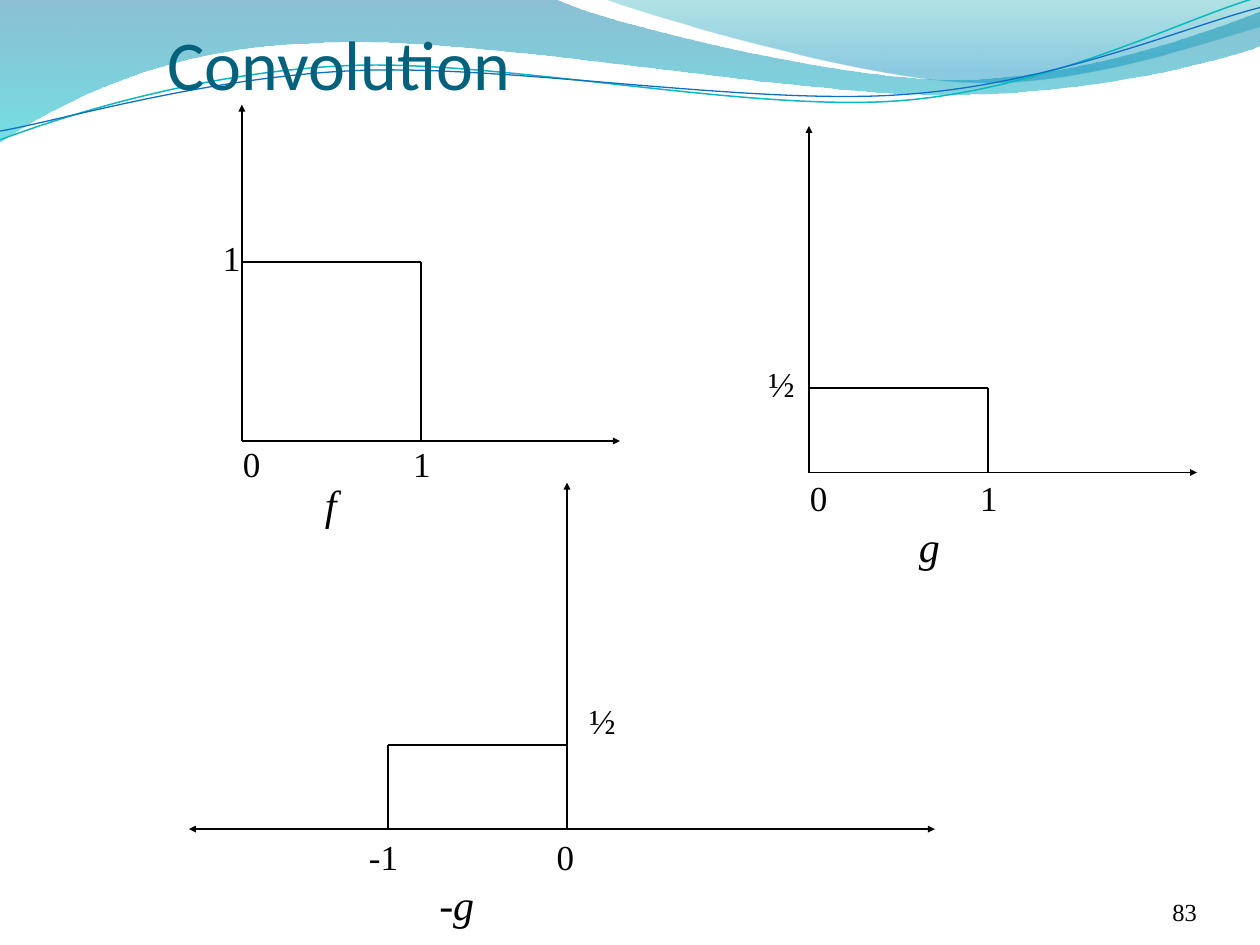
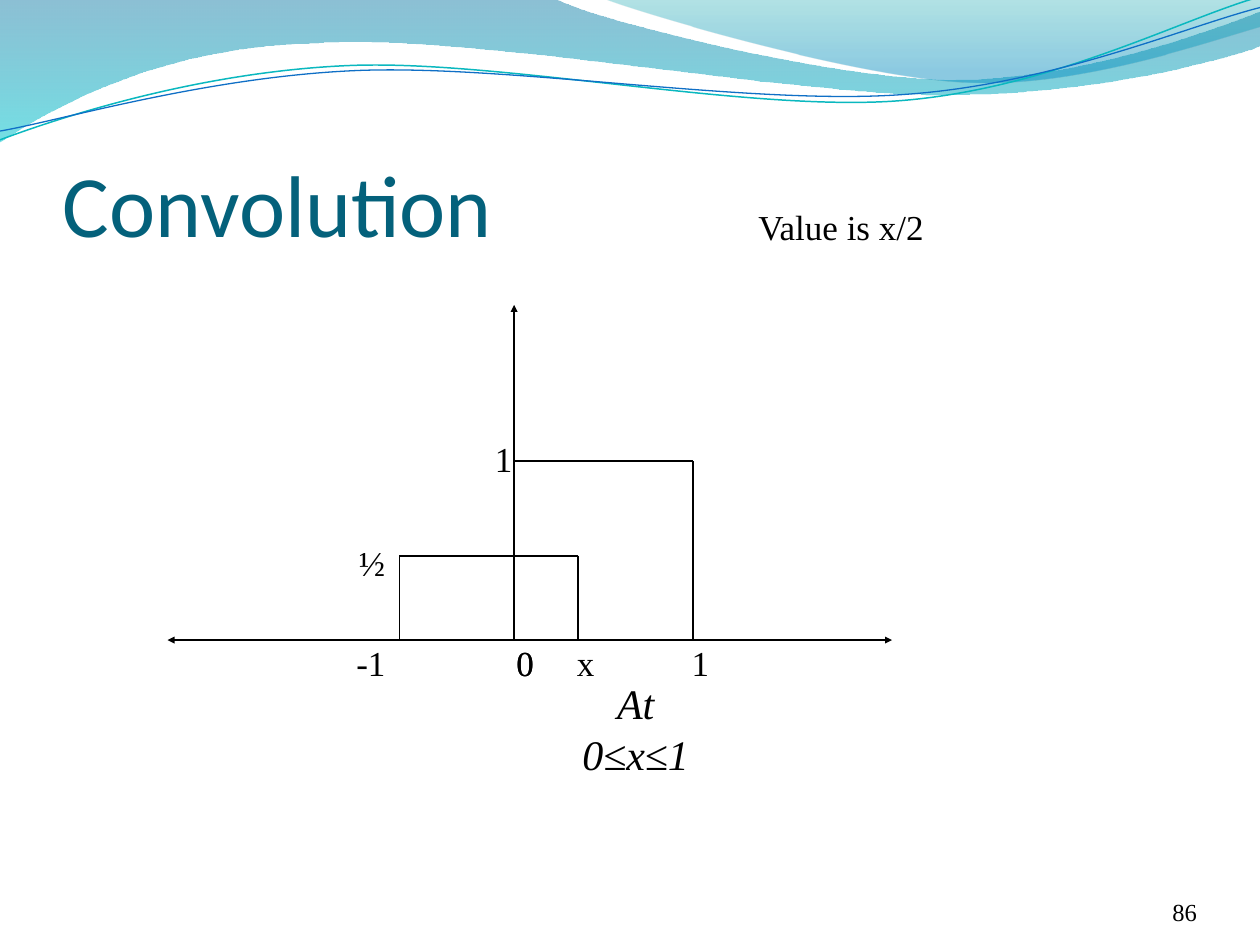
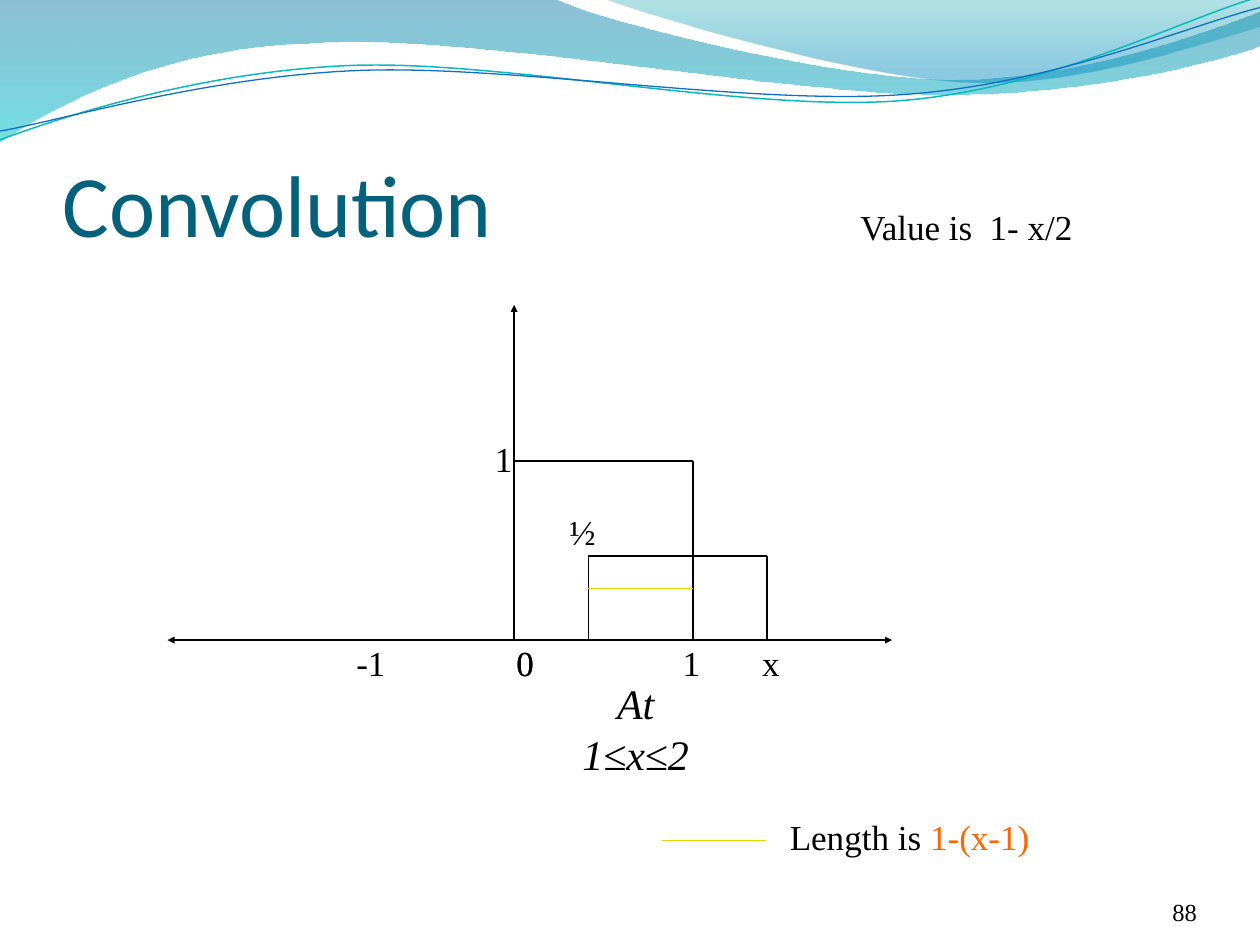
import math

from lxml import etree
from pptx import Presentation
from pptx import util as u
from pptx.dml.color import RGBColor
from pptx.enum import shapes, text
from pptx.oxml import ns

BLACK = RGBColor(0x00, 0x00, 0x00)
TITLE = RGBColor(0x04, 0x61, 0x7B)
YELLOW = RGBColor(0xE2, 0xD7, 0x00)
ORANGE = RGBColor(0xFF, 0x66, 0x00)
TEAL = RGBColor(0x0A, 0xB8, 0xBF)
BLUE = RGBColor(0x0F, 0x6F, 0xC6)
SERIF, SANS = "Times New Roman", "Calibri"
UNIT, HALF = 1.42, 0.67  # drawn size of 1 on the x axis, of ½ on the y axis
SHAFT, TIP = 2.58, 0.58  # an axis is a plain shaft and an arrow at its end
LABEL_H = 0.43
TILT = -2.7  # degrees
STRAND_CENTER = (4.99, 0.58)

# Each wave: points; a pair is a straight step, six numbers are a Bezier step.
# Bands have gradient stops (position, colour, opacity); strands a colour and width.
BANDS = [
    ([(0, 0), (4.4, -0.01), (4.76, 0.17, 6.64, 0.63, 7.58, 0.63),
      (8.53, 0.63, 9.58, 0.26, 10, 0.09), (10.01, 0.36),
      (9.83, 0.44, 8.7, 0.76, 7.46, 0.75), (6.22, 0.75, 3.82, 0.28, 2.57, 0.34),
      (1.29, 0.36, 0.46, 0.83, -0.01, 1.13), (0, 0)],
     [(0, RGBColor(0x00, 0x74, 0xA1), 45), (1, RGBColor(0x00, 0xC6, 0xCF), 55)]),
    ([(4.79, -0.01), (5.09, 0.11, 6.82, 0.62, 7.69, 0.65),
      (8.56, 0.69, 9.61, 0.32, 10, 0.21), (10, 0), (4.79, -0.01)],
     [(0, RGBColor(0x00, 0xA1, 0xA9), 30), (0.8, RGBColor(0x00, 0x8B, 0xBF), 45)]),
]
STRANDS = [
    ([(0, 1.11), (0.48, 0.93, 1.58, 0.57, 2.77, 0.52),
      (3.95, 0.47, 5.93, 0.89, 7.13, 0.8), (8.33, 0.71, 9.38, 0.15, 9.98, -0.02)],
     TEAL, 0.85),
    ([(0, 1.04), (0.47, 0.96, 1.64, 0.61, 2.83, 0.56),
      (4.03, 0.51, 5.97, 0.84, 7.17, 0.75), (8.36, 0.67, 9.41, 0.21, 10, 0.06)],
     BLUE, 0.75),
]

TOP_TITLE = ((1.33, 0.08, 8.5, 0.75), 40)
MAIN_TITLE = ((0.5, 0.77, 9, 1.25), 50)

# Graph: origin, reach of its axes (left, right, up), pulses (start, height),
# overlap of the two x shafts.
# Ticks: left, top, text, tab stops. Values: left, top, text.
# Captions: left, top, width, text. Notes: left, top, width, coloured pieces.
SHIFT_ORIGIN, SHIFT_REACH = (4.08, 5.08), (2.75, 3, 2.66)
MINUS_TICKS = (2.73, 5.04, "-1\t0", [1.27])
SLIDES = [
    dict(number="83", title=TOP_TITLE,
         graphs=[((1.92, 3.5), (0, 3, 2.67), [(0, UNIT)], 0),
                 ((6.42, 3.75), (0, 3.08, 2.75), [(0, HALF)], 0),
                 ((4.5, 6.58), (3, 2.92, 2.75), [(-UNIT, HALF)], 0.08)],
         ticks=[(1.83, 3.46, "0\t1", [1.35]), (6.33, 3.73, "0\t1", [1.35]),
                (2.83, 6.58, "-1\t0", [1.49])],
         values=[(1.67, 1.83, "1"), (6, 2.83, "½"), (4.58, 5.5, "½")],
         captions=[(2.25, 3.75, 0.75, "f"), (7, 4.08, 0.75, "g"),
                   (3.25, 6.92, 0.75, "-g")],
         notes=[], lengths=[]),
    dict(number="86", title=MAIN_TITLE,
         graphs=[(SHIFT_ORIGIN, SHIFT_REACH, [(0, UNIT), (-0.91, HALF)], 0)],
         ticks=[MINUS_TICKS, (4, 5.04, "0\tx\t1", [0.48, 1.39])],
         values=[(3.83, 3.42, "1"), (2.75, 4.25, "½")],
         captions=[(4.42, 5.33, 1.25, "At 0≤x≤1")],
         notes=[(5.92, 1.58, 2.83, [("Value is x/2", BLACK)])], lengths=[]),
    dict(number="88", title=MAIN_TITLE,
         graphs=[(SHIFT_ORIGIN, SHIFT_REACH, [(0, UNIT), (0.59, HALF)], 0)],
         ticks=[MINUS_TICKS, (4, 5.04, "0\t1\tx", [1.32, 1.95])],
         values=[(3.83, 3.42, "1"), (4.42, 4, "½")],
         captions=[(4.42, 5.33, 1.25, "At 1≤x≤2")],
         notes=[(6.73, 1.58, 2.83, [("Value is  1- x/2", BLACK)]),
                (6.17, 6.42, 2.58, [("Length is ", BLACK), ("1-(x-1)", ORANGE)])],
         lengths=[(4.67, 4.67), (5.25, 6.67)]),
]


def turn(point, degrees, center):
    angle = math.radians(degrees)
    dx, dy = point[0] - center[0], point[1] - center[1]
    return (center[0] + dx * math.cos(angle) - dy * math.sin(angle),
            center[1] + dx * math.sin(angle) + dy * math.cos(angle))


def add_wave(slide, steps, tilt=0, center=(0, 0)):
    """Draw the steps as an outline whose six-number steps are Bezier curves."""
    points = [turn(step[i:i + 2], -tilt, center)
              for step in steps for i in range(0, len(step), 2)]
    points = [(u.Inches(x), u.Inches(y)) for x, y in points]
    builder = slide.shapes.build_freeform(*points[0])
    builder.add_line_segments(points[1:], close=steps[0] == steps[-1])
    wave = builder.convert_to_shape()
    wave.shadow.inherit = False
    wave.rotation = tilt
    segments = iter(list(wave._element.iter(ns.qn("a:lnTo"))))
    for step in steps[1:]:
        curve = next(segments)
        if len(step) == 6:
            curve.tag = ns.qn("a:cubicBezTo")
            for _ in range(2):
                segment = next(segments)
                curve.append(segment[0])
                segment.getparent().remove(segment)
    return wave


def add_waves(slide):
    for steps, stops in BANDS:
        band = add_wave(slide, steps)
        band.line.fill.background()
        band.fill.gradient()
        band.fill.gradient_angle = 270
        for stop, (position, color, _) in zip(band.fill.gradient_stops, stops):
            stop.position = position
            stop.color.rgb = color
        colors = band._element.spPr.iter(ns.qn("a:srgbClr"))
        for color, (_, _, opacity) in zip(colors, stops):
            etree.SubElement(color, ns.qn("a:alpha"), val=str(opacity * 1000))
    for steps, color, width in STRANDS:
        strand = add_wave(slide, steps, TILT, STRAND_CENTER)
        strand.fill.background()
        strand.line.color.rgb = color
        strand.line.width = u.Pt(width)


def add_line(slide, start, end, color=BLACK, arrow=False):
    ends = [u.Inches(v) for v in (*start, *end)]
    line = slide.shapes.add_connector(shapes.MSO_CONNECTOR.STRAIGHT, *ends)
    line.line.color.rgb = color
    line.line.width = u.Pt(1)
    if arrow:
        etree.SubElement(line.line._get_or_add_ln(), ns.qn("a:tailEnd"),
                         type="triangle", w="sm", len="sm")
    etree.SubElement(line._element.spPr, ns.qn("a:effectLst"))


def add_text(slide, box, pieces, size=20, font=SERIF, italic=False, align=None,
             margins=(0.1, 0.05, 0.1, 0.05), anchor=text.MSO_ANCHOR.TOP, tabs=()):
    frame = slide.shapes.add_textbox(*[u.Inches(v) for v in box]).text_frame
    frame.word_wrap = True
    frame.vertical_anchor = anchor
    (frame.margin_left, frame.margin_top,
     frame.margin_right, frame.margin_bottom) = [u.Inches(m) for m in margins]
    paragraph = frame.paragraphs[0]
    paragraph.alignment = align
    if tabs:
        stops = etree.SubElement(paragraph._p.get_or_add_pPr(), ns.qn("a:tabLst"))
        for tab in tabs:
            etree.SubElement(stops, ns.qn("a:tab"), pos=str(u.Inches(tab)), algn="l")
    for words, color in pieces:
        run = paragraph.add_run()
        run.text = words
        run.font.name, run.font.size = font, u.Pt(size)
        run.font.italic = italic
        run.font.color.rgb = color


def add_axis(slide, origin, direction, reach, overlap=0):
    def along(distance):
        return tuple(o + d * distance for o, d in zip(origin, direction))

    add_line(slide, along(-overlap), along(SHAFT - overlap))
    add_line(slide, along(reach - TIP), along(reach), arrow=True)


def add_graph(slide, origin, reach, pulses, overlap):
    x, base = origin
    left, right, up = reach
    add_axis(slide, origin, (0, -1), up)
    add_axis(slide, origin, (1, 0), right, overlap)
    if left:
        add_axis(slide, origin, (-1, 0), left, overlap)
    for start, height in pulses:
        top = base - height
        sides = x + start, x + start + UNIT
        add_line(slide, (sides[0], top), (sides[1], top))
        for side in sides:
            if side != x:  # the axis already draws this side
                add_line(slide, (side, top), (side, base))


def build_slide(prs, content):
    slide = prs.slides.add_slide(prs.slide_layouts[6])
    add_waves(slide)
    add_text(slide, (8.67, 6.95, 0.83, 0.4), [(content["number"], BLACK)], 14,
             align=text.PP_ALIGN.RIGHT, margins=(0, 0, 0, 0),
             anchor=text.MSO_ANCHOR.BOTTOM)
    title_box, title_size = content["title"]
    add_text(slide, title_box, [("Convolution", TITLE)], title_size, SANS,
             margins=(0, 0.05, 0, 0), anchor=text.MSO_ANCHOR.BOTTOM)
    for graph in content["graphs"]:
        add_graph(slide, *graph)
    for left, top, words, tabs in content["ticks"]:
        add_text(slide, (left, top, 2.5, LABEL_H), [(words, BLACK)], tabs=tabs)
    for left, top, value in content["values"]:
        add_text(slide, (left, top, 0.33, LABEL_H), [(value, BLACK)])
    for left, top, width, caption in content["captions"]:
        height = 0.9 if " " in caption else 0.5
        add_text(slide, (left, top, width, height), [(caption, BLACK)], 24,
                 italic=True, align=text.PP_ALIGN.CENTER)
    for left, top, width, pieces in content["notes"]:
        add_text(slide, (left, top, width, LABEL_H), pieces)
    for left, top in content["lengths"]:
        add_line(slide, (left, top), (left + 0.83, top), YELLOW)


def main():
    prs = Presentation()
    prs.slide_width, prs.slide_height = u.Inches(10), u.Inches(7.5)
    for content in SLIDES:
        build_slide(prs, content)
    prs.save("out.pptx")


if __name__ == "__main__":
    main()
